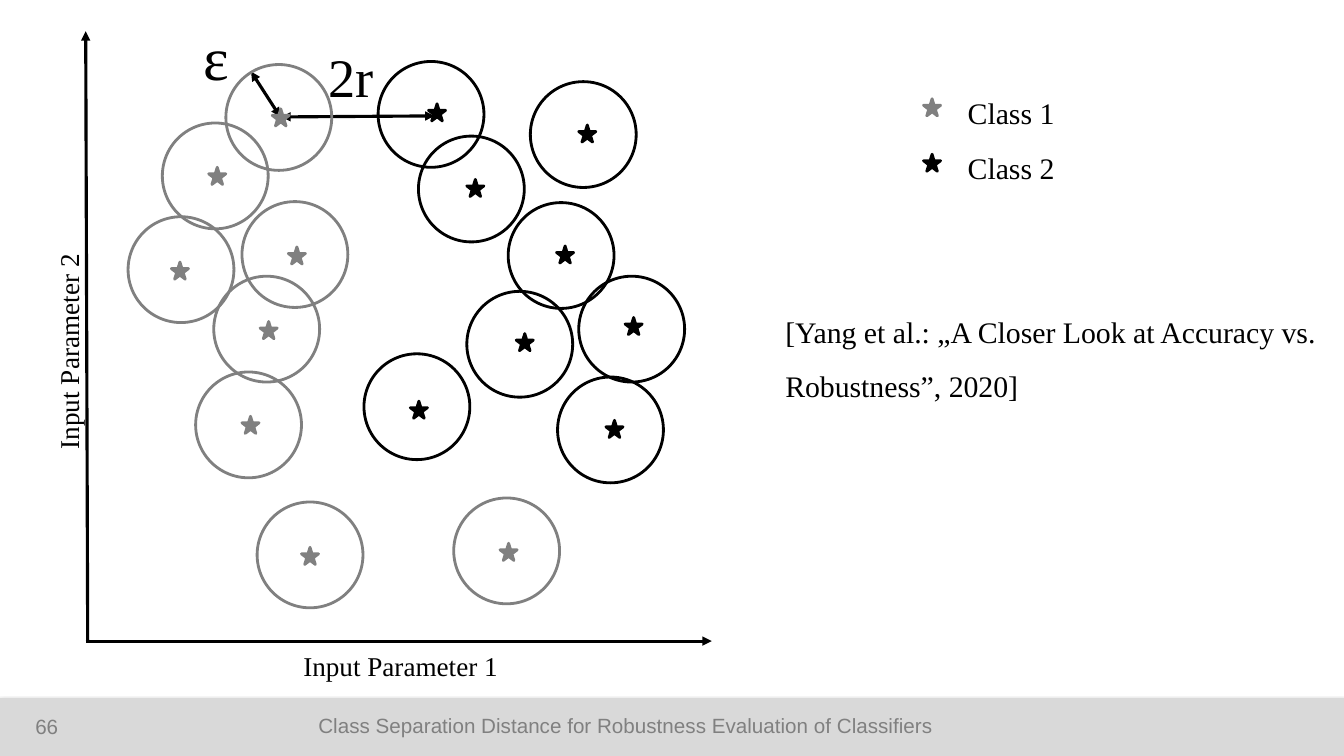
import dataclasses

import lxml.etree
import pptx
import pptx.dml.color
import pptx.enum.shapes
import pptx.enum.text
import pptx.oxml
import pptx.oxml.ns
import pptx.util

UNIT = 0.1
COLUMNS, ROWS = 133.3, 75
CIRCLE, STAR = 10.5, 1.7
SHAPE = pptx.enum.shapes.MSO_SHAPE
ALIGN = pptx.enum.text.PP_ALIGN
ANCHOR = pptx.enum.text.MSO_ANCHOR


@dataclasses.dataclass(frozen=True)
class Theme:
    """Colours, fonts, type sizes and line widths of the slide."""
    black: str = "000000"
    grey: str = "808080"
    band: str = "D9D9D9"
    serif: str = "Times New Roman"
    sans: str = "Arial"
    epsilon: float = 43.6
    distance: float = 38.8
    body: float = 21.3
    axis: float = 19.4
    footer: float = 14.7
    outline: float = 2
    arrow: float = 2.25
    hairline: float = 0.75


@dataclasses.dataclass(frozen=True)
class Box:
    """A region measured in grid columns and rows."""
    left: float
    top: float
    width: float
    height: float

    def inner(self, left, top, width, height):
        """Return a box placed relative to this one."""
        return Box(self.left + left, self.top + top, width, height)

    def frame(self):
        """Return the left, top, width and height as slide lengths."""
        return [grid(value) for value in (self.left, self.top, self.width, self.height)]


THEME = Theme()

CLASS_1 = [
    ((14.4, 3.4), (19, 7.8)), ((8.1, 9.2), (12.7, 13.6)),
    ((16, 17), (20.6, 21.5)), ((37, 46.4), (41.6, 50.9)),
    ((13.2, 24.4), (17.8, 28.9)), ((11.4, 33.9), (16, 38.3)),
    ((17.5, 46.8), (21.9, 51.3)), ((4.7, 18.5), (9, 23)),
]
CLASS_2 = [
    ((28.1, 32.1), (32.7, 36.8)), ((47.3, 34.4), (52.1, 38.7)),
    ((38.3, 25.9), (43.2, 30.1)), ((42.4, 17.1), (47.2, 21.4)),
    ((33.5, 10.5), (38.3, 14.8)), ((29.5, 3.1), (34.5, 7.3)),
    ((49.4, 24.4), (54, 28.5)), ((44.6, 5.1), (49.4, 9.4)),
]


def grid(value):
    """Convert grid units to a slide length."""
    return pptx.util.Inches(value * UNIT)


def colour(value):
    """Convert a hex string to a colour."""
    return pptx.dml.color.RGBColor.from_string(value)


def add_shape(page, kind, box, line, width, fill=None):
    """Draw a preset shape without a shadow."""
    shape = page.shapes.add_shape(kind, *box.frame())
    shape.shadow.inherit = False
    if fill:
        shape.fill.solid()
        shape.fill.fore_color.rgb = colour(fill)
    else:
        shape.fill.background()
    shape.line.color.rgb = colour(line)
    shape.line.width = pptx.util.Pt(width)
    return shape


def add_star(page, box, left, top, tint):
    """Draw a sample marker."""
    add_shape(page, SHAPE.STAR_5_POINT, box.inner(left, top, STAR, STAR), tint, THEME.outline, tint)


def add_arrow(page, box, start, end, both=False):
    """Draw an arrow between two points of the box."""
    ends = [grid(value) for x, y in (start, end) for value in (box.left + x, box.top + y)]
    arrow = page.shapes.add_connector(pptx.enum.shapes.MSO_CONNECTOR.STRAIGHT, *ends)
    arrow.line.color.rgb = colour(THEME.black)
    arrow.line.width = pptx.util.Pt(THEME.arrow)
    outline = arrow.line._get_or_add_ln()
    for tag in ("a:headEnd", "a:tailEnd") if both else ("a:tailEnd",):
        lxml.etree.SubElement(outline, pptx.oxml.ns.qn(tag), type="triangle")
    lxml.etree.SubElement(arrow._element.spPr, pptx.oxml.ns.qn("a:effectLst"))


def add_text(page, box, text, size, spacing=1.0, font=THEME.serif, tint=THEME.black):
    """Write one paragraph in a wrapping text box."""
    label = page.shapes.add_textbox(*box.frame())
    label.text_frame.word_wrap = True
    para = label.text_frame.paragraphs[0]
    para.line_spacing = spacing
    span = para.add_run()
    span.text = text
    span.font.name = font
    span.font.size = pptx.util.Pt(size)
    span.font.color.rgb = colour(tint)
    return label


def draw_footer(page, box, number, title):
    """Draw the shaded footer band with its page number and title."""
    band = add_shape(page, SHAPE.RECTANGLE, box, THEME.band, THEME.hairline, THEME.band)
    effects = band._element.spPr.find(pptx.oxml.ns.qn("a:effectLst"))
    effects.append(pptx.oxml.parse_xml(
        f'<a:outerShdw {pptx.oxml.ns.nsdecls("a")} blurRad="39370" dist="22860" dir="5400000" '
        'rotWithShape="0"><a:srgbClr val="000000"><a:alpha val="35000"/></a:srgbClr></a:outerShdw>'))
    for text, place, align in (
        (number, box.inner(3.5, 0.8, 5.9, 4), ALIGN.LEFT),
        (title, box.inner(27.8, 0.7, 68.5, 4), ALIGN.CENTER),
    ):
        label = add_text(page, place, text, THEME.footer, font=THEME.sans, tint=THEME.grey)
        frame = label.text_frame
        frame.margin_left = frame.margin_right = frame.margin_top = frame.margin_bottom = 0
        frame.vertical_anchor = ANCHOR.MIDDLE
        frame.paragraphs[0].alignment = align


def draw_plot(page, box):
    """Draw the two classes, their distances and the labelled axes."""
    add_arrow(page, box, (35.1, 8.5), (19.9, 8.6), both=True)
    add_text(page, box.inner(23.6, 0.8, 7.9, 7.5), "2r", THEME.distance)
    add_arrow(page, box, (19.8, 8.6), (16.9, 4.1), both=True)
    add_text(page, box.inner(11.2, -1.6, 11.5, 8.3), "ε", THEME.epsilon)
    for samples, tint in ((CLASS_1, THEME.grey), (CLASS_2, THEME.black)):
        for circle, star in samples:
            add_shape(page, SHAPE.OVAL, box.inner(*circle, CIRCLE, CIRCLE), tint, THEME.outline)
        for circle, star in samples:
            add_star(page, box, *star, tint)
    add_arrow(page, box, (0.7, 60.6), (0.5, 0.1))
    add_arrow(page, box, (0.5, 60.6), (62.6, 60.6))
    add_text(page, box.inner(21.1, 59.3, 22, 5.3), "Input Parameter 1", THEME.axis, 1.5)
    upright = add_text(page, box.inner(-13.3, 28.9, 22, 5.3), "Input Parameter 2", THEME.axis, 1.5)
    upright.rotation = 270


def draw_legend(page, box):
    """List the classes beside their markers."""
    step = box.height / 2
    for row, (name, tint) in enumerate((("Class 1", THEME.grey), ("Class 2", THEME.black))):
        add_star(page, box, 0, row * step + 2.7, tint)
        add_text(page, box.inner(3.4, row * step, 12.7, 5.8), name, THEME.body, 1.5)


def draw_citation(page, box):
    """Write the reference."""
    text = "[Yang et al.: „A Closer Look at Accuracy vs. Robustness”, 2020]"
    add_text(page, box, text, THEME.body, 1.5)


def main():
    """Build and save the deck."""
    deck = pptx.Presentation()
    deck.slide_width, deck.slide_height = grid(COLUMNS), grid(ROWS)
    page = deck.slides.add_slide(deck.slide_layouts.get_by_name("Blank"))
    draw_footer(page, Box(0, 69.3, COLUMNS, 5.7), "66",
                "Class Separation Distance for Robustness Evaluation of Classifiers")
    draw_plot(page, Box(8, 3, 63, 61))
    draw_legend(page, Box(91.6, 7.1, 16.1, 11))
    draw_citation(page, Box(76.9, 28.9, 55, 11.1))
    deck.save("out.pptx")


if __name__ == "__main__":
    main()
